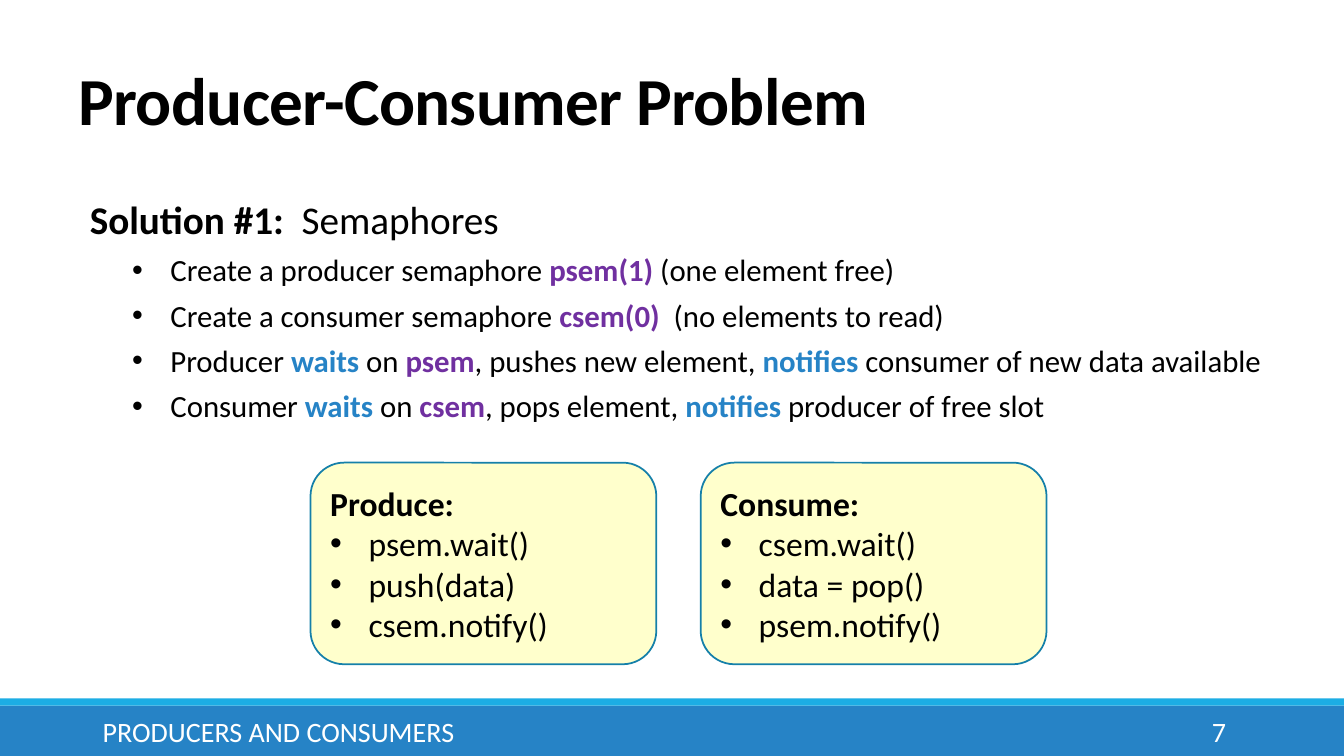
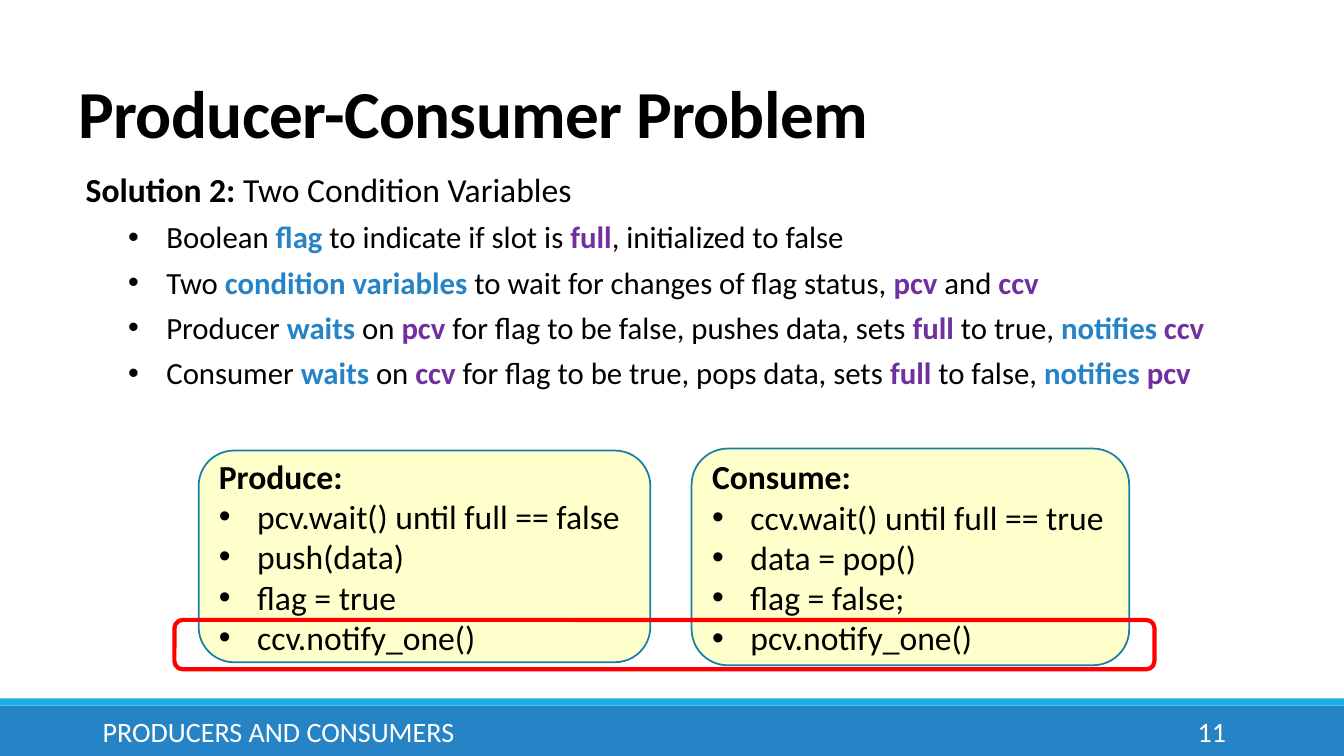
from lxml import etree
from pptx import Presentation
from pptx.dml.color import RGBColor
from pptx.enum.shapes import MSO_SHAPE
from pptx.enum.text import MSO_ANCHOR, MSO_AUTO_SIZE, PP_ALIGN
from pptx.oxml.ns import qn
from pptx.util import Inches, Pt

RECT, ROUND = MSO_SHAPE.RECTANGLE, MSO_SHAPE.ROUNDED_RECTANGLE
MIDDLE, BOTTOM = MSO_ANCHOR.MIDDLE, MSO_ANCHOR.BOTTOM
LEFT, RIGHT = PP_ALIGN.LEFT, PP_ALIGN.RIGHT
NO_FIT = MSO_AUTO_SIZE.NONE

FONT = "Calibri"
BLACK, WHITE, BLUE, PURPLE = "000000", "FFFFFF", "2683C6", "7030A0"
CYAN, CREAM, TEAL, RED = "1CADE4", "FFFFCC", "1580A9", "FF0000"
SLIDE_W, SLIDE_H = 13.33, 7.5
INDENT = 0.38
# First character of a text segment -> colour of its bold run
MARKS = {"!": BLACK, "*": BLUE, "~": PURPLE}


def rgb(value):
    return RGBColor.from_string(value)


def place(sp, box):
    sp.left, sp.top, sp.width, sp.height = [Inches(v) for v in box]


def add_box(s, kind, box, fill=None, line=None, width=1.25):
    sp = s.shapes.add_shape(kind, *[Inches(v) for v in box])
    sp.shadow.inherit = False
    if fill:
        sp.fill.solid()
        sp.fill.fore_color.rgb = rgb(fill)
    else:
        sp.fill.background()
    if line:
        sp.line.color.rgb = rgb(line)
        sp.line.width = Pt(width)
    else:
        sp.line.fill.background()
    return sp


def write(p, text, size, color=BLACK, align=LEFT):
    """Write segments split by |, each bold and coloured if it has a mark."""
    p.alignment = align
    p.font.name, p.font.size = FONT, Pt(size)
    for part in text.split("|"):
        marked = part[0] in MARKS
        r = p.add_run()
        r.text = part[1:] if marked else part
        r.font.bold = marked
        r.font.color.rgb = rgb(MARKS[part[0]] if marked else color)


def set_bullet(p, margin=0, char=None):
    pPr = p._p.get_or_add_pPr()
    pPr.set("marL", str(Inches(margin)))
    pPr.set("indent", str(Inches(-INDENT if char else 0)))
    if char:
        bullet_font = etree.Element(qn("a:buFont"), typeface="Arial")
        bullet = etree.Element(qn("a:buChar"), char=char)
        pPr.insert_element_before(bullet_font, "a:buChar", "a:defRPr")
    else:
        bullet = etree.Element(qn("a:buNone"))
    pPr.insert_element_before(bullet, "a:defRPr")


def write_list(tf, heading, items, sizes, margin, level=0, after=0):
    for i, text in enumerate([heading] + items):
        p = tf.add_paragraph() if i else tf.paragraphs[0]
        p.level = level if i else 0
        p.line_spacing, p.space_before, p.space_after = 1.0, Pt(0), Pt(after)
        write(p, text, sizes[1] if i else sizes[0])
        set_bullet(p, margin if i else 0, "•" if i else None)


def add_title(s, box):
    sp = s.shapes.title
    place(sp, box)
    tf = sp.text_frame
    tf.auto_size, tf.vertical_anchor = NO_FIT, BOTTOM
    p = tf.paragraphs[0]
    p.line_spacing = 0.85
    write(p, "!Producer-Consumer Problem", 48)
    p.runs[0].font._element.set("spc", "-50")


def add_body(s, box, heading, items, heading_size):
    sp = s.placeholders[1]
    place(sp, box)
    tf = sp.text_frame
    tf.auto_size = NO_FIT
    tf.margin_left = tf.margin_right = 0
    write_list(tf, heading, items, (heading_size, 22), 0.8, level=1, after=6)


def add_label(s, box, text, align):
    tf = s.shapes.add_textbox(*[Inches(v) for v in box]).text_frame
    tf.word_wrap, tf.vertical_anchor = True, MIDDLE
    write(tf.paragraphs[0], text, 20, WHITE, align)


def add_footer(s, number, top=7):
    add_box(s, RECT, (0, top, SLIDE_W, SLIDE_H - top), BLUE)
    add_box(s, RECT, (0, top - 0.07, SLIDE_W, 0.07), CYAN)
    add_label(s, (0.92, top + 0.06, 8.39, 0.4), "PRODUCERS AND CONSUMERS", LEFT)
    add_label(s, (10.83, top + 0.06, 1.43, 0.4), str(number), RIGHT)


def add_code_card(s, box, heading, steps):
    tf = add_box(s, ROUND, box, CREAM, TEAL).text_frame
    tf.word_wrap, tf.vertical_anchor = True, MIDDLE
    write_list(tf, heading, steps, (24, 24), INDENT)


def add_solution(prs, number, title_top, body_box, heading, heading_size,
                 points, cards):
    s = prs.slides.add_slide(prs.slide_layouts[1])
    add_footer(s, number)
    add_title(s, (0.68, title_top, 11, 0.85))
    add_body(s, body_box, heading, points, heading_size)
    for box, name, steps in cards:
        add_code_card(s, box, name, steps)
    return s


prs = Presentation()
prs.slide_width, prs.slide_height = Inches(SLIDE_W), Inches(SLIDE_H)

# Semaphores
add_solution(
    prs, 7, 0.58, (0.89, 1.89, 11.92, 2.39),
    "!Solution #1: | Semaphores", 28,
    ["Create a producer semaphore |~psem(1)| (one element free)",
     "Create a consumer semaphore |~csem(0)|  (no elements to read)",
     "Producer |*waits| on |~psem|, pushes new element, |*notifies"
     "| consumer of new data available",
     "Consumer |*waits| on |~csem|, pops element, |*notifies"
     "| producer of free slot"],
    [((3.08, 4.59, 3.43, 2), "!Produce:",
      ["psem.wait()", "push(data)", "csem.notify()"]),
     ((6.95, 4.59, 3.43, 2), "!Consume:",
      ["csem.wait()", "data = pop()", "psem.notify()"])])

# Condition variables
s = add_solution(
    prs, 11, 0.71, (0.85, 1.63, 11.75, 2.32),
    "!Solution 2:| Two Condition Variables", 24,
    ["Boolean |*flag| to indicate if slot is |~full|, initialized to false",
     "Two |*condition variables |to wait for changes of flag status, "
     "|~pcv| and |~ccv",
     "Producer |*waits| on |~pcv |for flag to be false, pushes data, sets "
     "|~full| to true, |*notifies |~ccv",
     "Consumer |*waits| on |~ccv |for flag to be true, pops data, sets "
     "|~full| to false, |*notifies |~pcv"],
    [((1.97, 4.47, 4.48, 2.1), "!Produce:",
      ["pcv.wait() until full == false", "push(data)", "flag = true",
       "ccv.notify_one()"]),
     ((6.86, 4.45, 4.34, 2.15), "!Consume:",
      ["ccv.wait() until full == true", "data = pop()", "flag = false;",
       "pcv.notify_one()"])])

# Frame around the notify steps
add_box(s, ROUND, (1.73, 6.15, 9.72, 0.49), line=RED, width=3)

prs.save("out.pptx")
